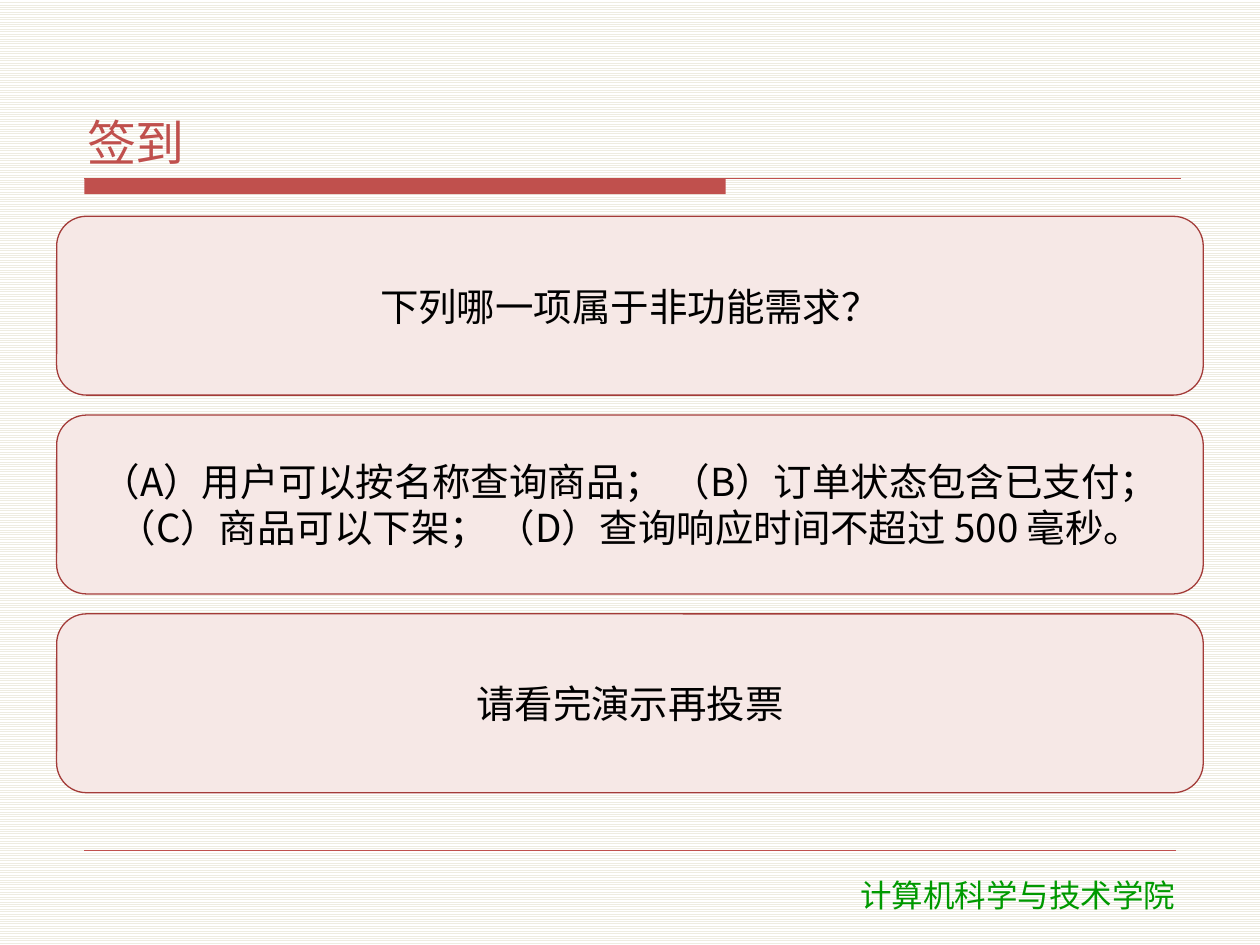
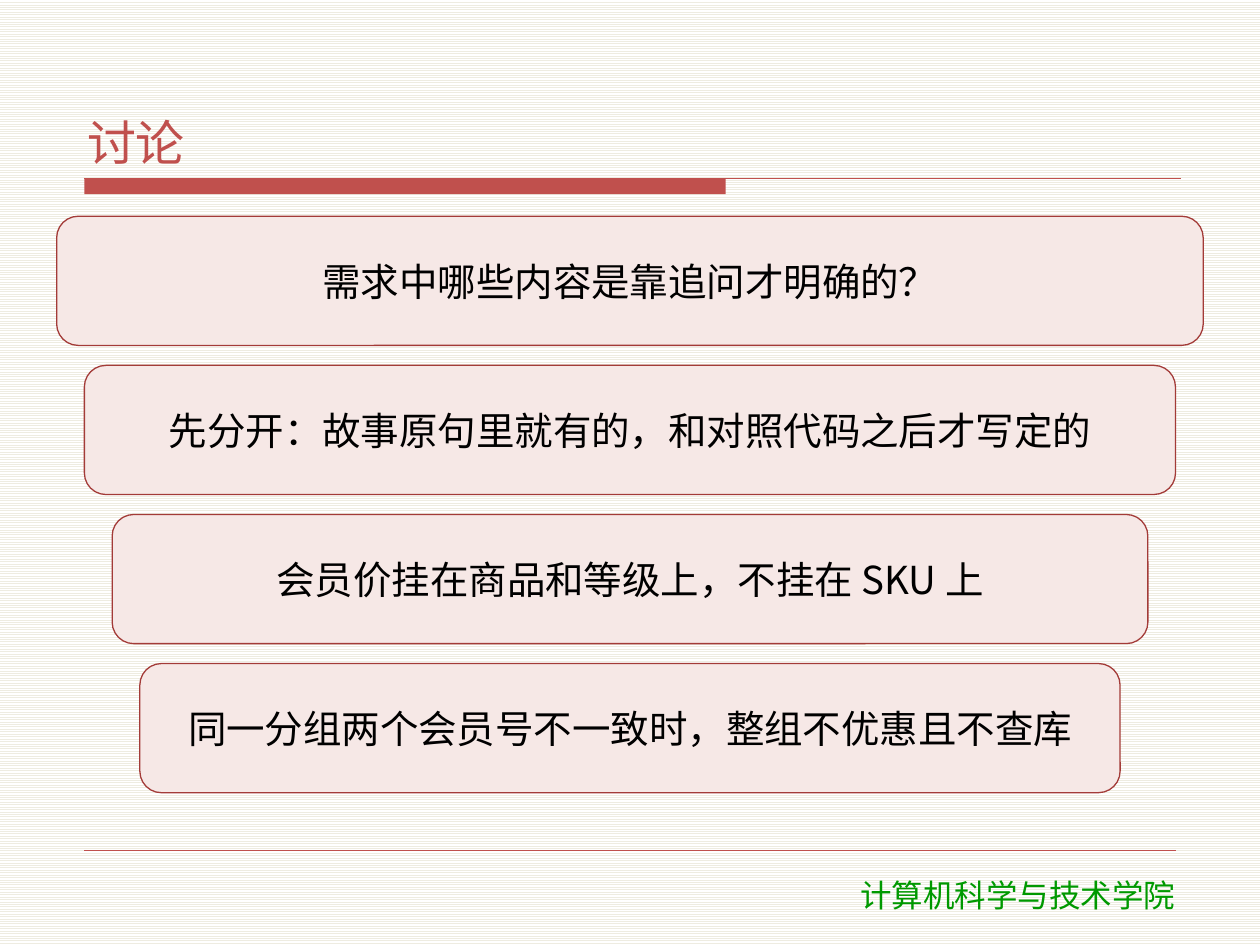
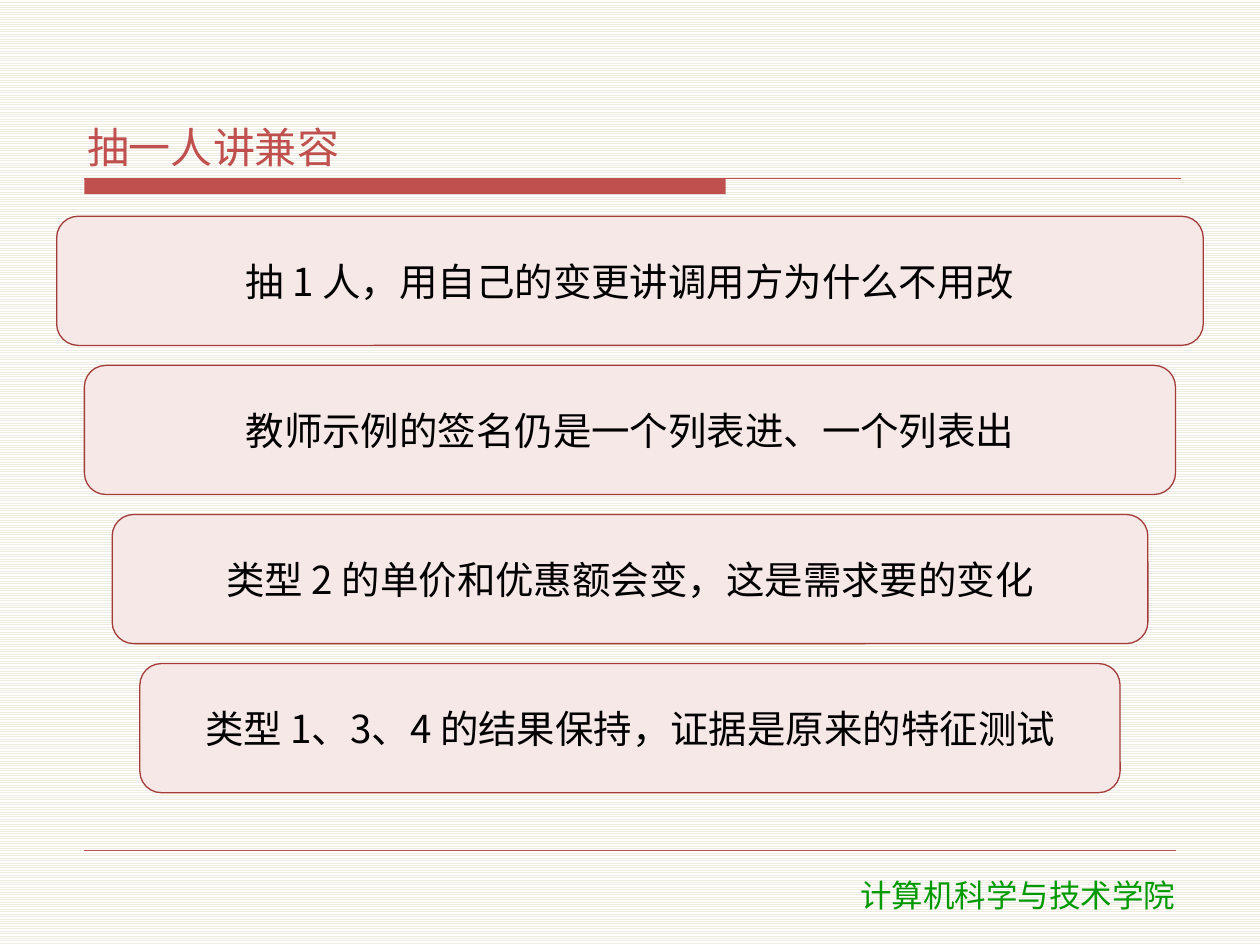
from dataclasses import dataclass

import pptx
import pptx.dml.color
import pptx.enum.dml
import pptx.enum.shapes
import pptx.enum.text
import pptx.oxml.ns
import pptx.util
from lxml import etree

Pt = pptx.util.Pt
Align = pptx.enum.text.PP_ALIGN
Anchor = pptx.enum.text.MSO_ANCHOR
Shape = pptx.enum.shapes.MSO_SHAPE
qn = pptx.oxml.ns.qn


@dataclass(frozen=True)
class Theme:
    red: str = "C0504D"
    edge: str = "A33B38"
    card: str = "F6E8E6"
    green: str = "009900"
    ink: str = "000000"
    stripe: str = "EEECE1"
    paper: str = "FFFFFF"
    font: str = "Noto Sans CJK SC"
    foot_font: str = "DejaVu Sans"
    title_size: int = 28
    card_size: int = 22
    foot_size: int = 18


def rgb(code):
    return pptx.dml.color.RGBColor.from_string(code)


class Deck:
    def __init__(self, theme):
        self.theme = theme
        self.show = pptx.Presentation()
        self.show.slide_width, self.show.slide_height = Pt(720), Pt(540)
        self.slide = None

    def page(self, title, size=None):
        """Start a slide with the shared ground, title, band and footer."""
        look = self.theme
        self.slide = self.show.slides.add_slide(self.show.slide_layouts[6])
        fill = self.slide.background.fill
        fill.patterned()
        fill.pattern = pptx.enum.dml.MSO_PATTERN.LIGHT_HORIZONTAL
        fill.fore_color.rgb = rgb(look.stripe)
        fill.back_color.rgb = rgb(look.paper)
        self.block(Shape.RECTANGLE, (48.2, 102.2, 366.5, 8.7), look.red)
        self.rule(48.2, 674.6, 102.2, 0.75)
        self.rule(48.2, 672, 486, 0.25)
        self.footer("计算机科学与技术学院")
        self.title(title, size or look.title_size)

    def block(self, kind, area, fill, edge=None):
        shape = self.slide.shapes.add_shape(kind, *map(Pt, area))
        shape.shadow.inherit = False
        shape.fill.solid()
        shape.fill.fore_color.rgb = rgb(fill)
        if edge:
            shape.line.color.rgb = rgb(edge)
            shape.line.width = Pt(0.75)
        else:
            shape.line.fill.background()
        return shape

    def rule(self, left, right, y, width):
        line = self.slide.shapes.add_connector(
            pptx.enum.shapes.MSO_CONNECTOR.STRAIGHT, Pt(left), Pt(y), Pt(right), Pt(y))
        line.line.color.rgb = rgb(self.theme.red)
        line.line.width = Pt(width)
        etree.SubElement(line._element.spPr, qn("a:effectLst"))

    def label(self, shape, text, size, color, font, align):
        frame = shape.text_frame
        frame.word_wrap = True
        para = frame.paragraphs[0]
        para.text = text
        para.alignment = align
        para.font.size = Pt(size)
        para.font.color.rgb = rgb(color)
        para.font.name = font
        props = para._p.pPr.find(qn("a:defRPr"))
        etree.SubElement(props, qn("a:ea"), typeface=font)
        return frame

    def inset(self, frame, anchor):
        frame.vertical_anchor = anchor
        frame.margin_left = frame.margin_right = Pt(4.3)
        frame.margin_top = frame.margin_bottom = Pt(1.4)
        frame.paragraphs[0].space_after = Pt(2)

    def title(self, text, size):
        box = self.slide.shapes.add_textbox(Pt(45.4), Pt(23.8), Pt(630), Pt(75.6))
        frame = self.label(box, text, size, self.theme.red, self.theme.font, Align.LEFT)
        self.inset(frame, Anchor.BOTTOM)

    def footer(self, text):
        look = self.theme
        box = self.slide.shapes.add_textbox(Pt(437), Pt(496.8), Pt(289.4), Pt(28.8))
        frame = self.label(box, text, look.foot_size, look.green, look.foot_font, Align.CENTER)
        frame.auto_size = pptx.enum.text.MSO_AUTO_SIZE.SHAPE_TO_FIT_TEXT

    def cards(self, texts, step=0):
        """Stack equal cards; each is inset by step more than the one above."""
        look = self.theme
        left, top, width, total, gap = 32.4, 123.6, 655.2, 329.4, 11.4
        high = (total - gap * (len(texts) - 1)) / len(texts)
        for i, text in enumerate(texts):
            area = (left + i * step, top + i * (high + gap), width - 2 * i * step, high)
            card = self.block(Shape.ROUNDED_RECTANGLE, area, look.card, look.edge)
            frame = self.label(card, text, look.card_size, look.ink, look.font, Align.CENTER)
            self.inset(frame, Anchor.MIDDLE)


def main():
    deck = Deck(Theme())
    step = 15.84

    deck.page("签到")
    deck.cards([
        "下列哪一项属于非功能需求？",
        "（A）用户可以按名称查询商品； （B）订单状态包含已支付； "
        "（C）商品可以下架； （D）查询响应时间不超过 500 毫秒。",
        "请看完演示再投票",
    ])

    deck.page("讨论")
    deck.cards([
        "需求中哪些内容是靠追问才明确的？",
        "先分开：故事原句里就有的，和对照代码之后才写定的",
        "会员价挂在商品和等级上，不挂在 SKU 上",
        "同一分组两个会员号不一致时，整组不优惠且不查库",
    ], step)

    deck.page("抽一人讲兼容", 24)
    deck.cards([
        "抽 1 人，用自己的变更讲调用方为什么不用改",
        "教师示例的签名仍是一个列表进、一个列表出",
        "类型 2 的单价和优惠额会变，这是需求要的变化",
        "类型 1、3、4 的结果保持，证据是原来的特征测试",
    ], step)

    deck.show.save("out.pptx")


if __name__ == "__main__":
    main()
